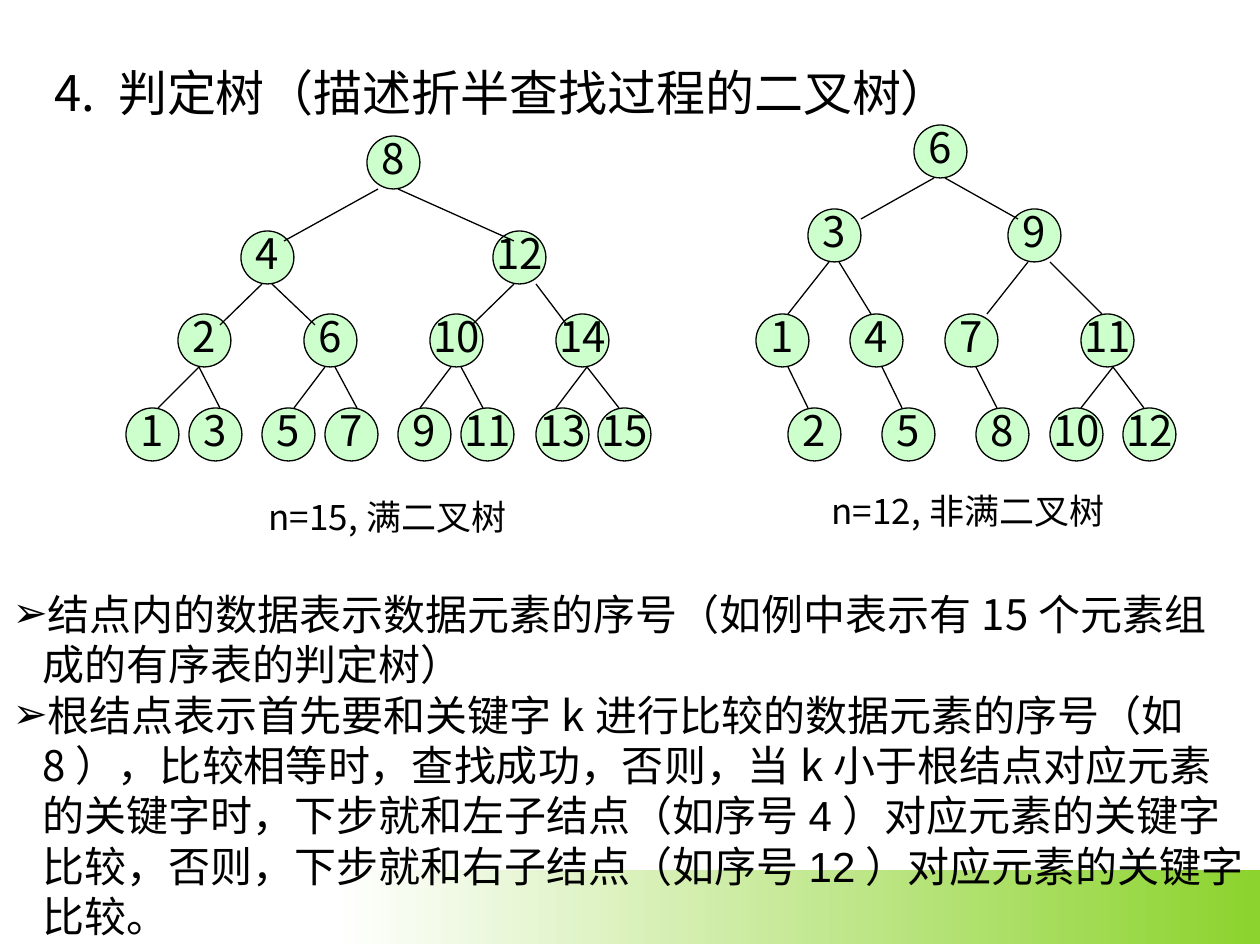
"""Build the slide on decision trees of binary search."""
from lxml import etree
from pptx import Presentation
from pptx.dml.color import RGBColor
from pptx.enum.shapes import MSO_CONNECTOR, MSO_SHAPE
from pptx.enum.text import MSO_ANCHOR, MSO_AUTO_SIZE, PP_ALIGN
from pptx.oxml.ns import qn
from pptx.util import Pt

PX = 914400 / 126
BLACK = RGBColor(0x00, 0x00, 0x00)
WHITE = RGBColor(0xFF, 0xFF, 0xFF)
MINT = RGBColor(0xCC, 0xFF, 0xCC)
GREEN = RGBColor(0x8C, 0xD3, 0x2D)
CJK = "Noto Sans CJK SC"
LATIN = "Arial"
NODE_SIZE = 53

TITLE = "4. 判定树（描述折半查找过程的二叉树）"
NOTES = [
    [("结点内的数据表示数据元素的序号（如例中表示有15个元素组成的有序表的判定树）", CJK)],
    [
        ("根结点表示首先要和关键字k进行比较的", CJK),
        ("数据元素", LATIN),
        ("的序号（如8），比较相等时，查找成功，否则，当k小于根结点对应元素的", CJK),
        ("关键字时，下步就和左子结点（如序号4）对应元素的关键字比较，"
         "否则，下步就和右子结点（如序号12）对应元素的关键字比较。", LATIN),
    ],
]
CAPTIONS = [
    ("n=15,满二叉树", (256, 489, 265, 55)),
    ("n=12,非满二叉树", (819, 483, 305, 63)),
]
# Level: top, depth of edge end inside the node, nodes (label, left, edge start x, edge end x).
FULL_TREE = [
    (136, 0, [(8, 367, None, None)]),
    (231, 10, [(4, 241, 378, 284), (12, 493, 398, 514)]),
    (314, 11, [(2, 178, 262, 220), (6, 304, 272, 315),
               (10, 430, 514, 472), (14, 556, 536, 567)]),
    (408, 0, [(1, 126, 199, 158), (3, 189, 199, 220), (5, 262, 325, 294),
              (7, 325, 335, 357), (9, 398, 451, 420), (11, 461, 461, 483),
              (13, 536, 587, 556), (15, 598, 587, 619)]),
]
PARTIAL_TREE = [
    (125, 0, [(6, 914, None, None)]),
    (209, 10, [(3, 808, 934, 861), (9, 1008, 945, 1018)]),
    (314, 0, [(1, 756, 829, 788), (4, 850, 839, 871),
              (7, 945, 1028, 987), (11, 1081, 1050, 1102)]),
    (408, 0, [(2, 788, 788, 808), (5, 882, 882, 902), (8, 976, 976, 997),
              (10, 1050, 1113, 1081), (12, 1123, 1113, 1144)]),
]


def emu(*lengths):
    return [round(length * PX) for length in lengths]


def place(shape, box):
    shape.left, shape.top, shape.width, shape.height = emu(*box)


def write(shape, paragraphs, size, align=PP_ALIGN.LEFT, anchor=MSO_ANCHOR.TOP,
          wrap=True, spacing=1.0, hanging=0, bullet=None):
    frame = shape.text_frame
    frame.word_wrap = wrap
    frame.auto_size = MSO_AUTO_SIZE.NONE
    frame.vertical_anchor = anchor
    for index, runs in enumerate(paragraphs):
        paragraph = frame.add_paragraph() if index else frame.paragraphs[0]
        paragraph.alignment = align
        paragraph.line_spacing = spacing
        paragraph.space_before = paragraph.space_after = Pt(0)
        properties = paragraph._p.get_or_add_pPr()
        indent, = emu(hanging)
        properties.set("marL", str(indent))
        properties.set("indent", str(-indent))
        if bullet:
            etree.SubElement(properties, qn("a:buChar")).set("char", bullet)
        else:
            etree.SubElement(properties, qn("a:buNone"))
        for text, font_name in runs:
            run = paragraph.add_run()
            run.text = text
            run.font.size = Pt(size)
            run.font.name = font_name
            run.font.color.rgb = BLACK
            east_asian = etree.SubElement(run._r.get_or_add_rPr(), qn("a:ea"))
            east_asian.set("typeface", CJK)


def add_footer_band(slide):
    band = slide.shapes.add_shape(MSO_SHAPE.RECTANGLE, *emu(336, 870, 924, 74))
    band.shadow.inherit = False
    band.line.fill.background()
    band.fill.gradient()
    band.fill.gradient_angle = 0
    for stop, color in zip(band.fill.gradient_stops, (WHITE, GREEN)):
        stop.color.rgb = color
    slide.shapes._spTree.insert(2, band._element)


def add_edge(slide, *ends):
    edge = slide.shapes.add_connector(MSO_CONNECTOR.STRAIGHT, *emu(*ends))
    edge.line.color.rgb = BLACK
    edge.line.width = Pt(0.75)
    etree.SubElement(edge._element.spPr, qn("a:effectLst"))


def add_node(slide, label, left, top):
    node = slide.shapes.add_shape(MSO_SHAPE.OVAL, *emu(left, top, NODE_SIZE, NODE_SIZE))
    node.shadow.inherit = False
    node.fill.solid()
    node.fill.fore_color.rgb = MINT
    node.line.color.rgb = BLACK
    node.line.width = Pt(0.75)
    write(node, [[(str(label), CJK)]], 24, align=PP_ALIGN.CENTER,
          anchor=MSO_ANCHOR.MIDDLE, wrap=False, spacing=0.8)


def add_tree(slide, levels):
    parent_bottom = 0
    for top, depth, nodes in levels:
        for label, left, start, end in nodes:
            add_node(slide, label, left, top)
            if start is not None:
                add_edge(slide, start, parent_bottom, end, top + depth)
        parent_bottom = top + NODE_SIZE


def main():
    presentation = Presentation()
    presentation.slide_width, presentation.slide_height = emu(1260, 945)
    slide = presentation.slides.add_slide(presentation.slide_layouts[1])
    title, body = slide.placeholders
    add_footer_band(slide)
    place(title, (42, 55, 965, 73))
    write(title, [[(TITLE, CJK)]], 28, anchor=MSO_ANCHOR.MIDDLE)
    add_tree(slide, PARTIAL_TREE)
    add_tree(slide, FULL_TREE)
    for text, box in CAPTIONS:
        caption = slide.shapes.add_textbox(*emu(*box))
        write(caption, [[(text, CJK)]], 20)
    place(body, (0, 582, 1260, 315))
    write(body, NOTES, 24, hanging=30, bullet="➢")
    presentation.save("out.pptx")


if __name__ == "__main__":
    main()
